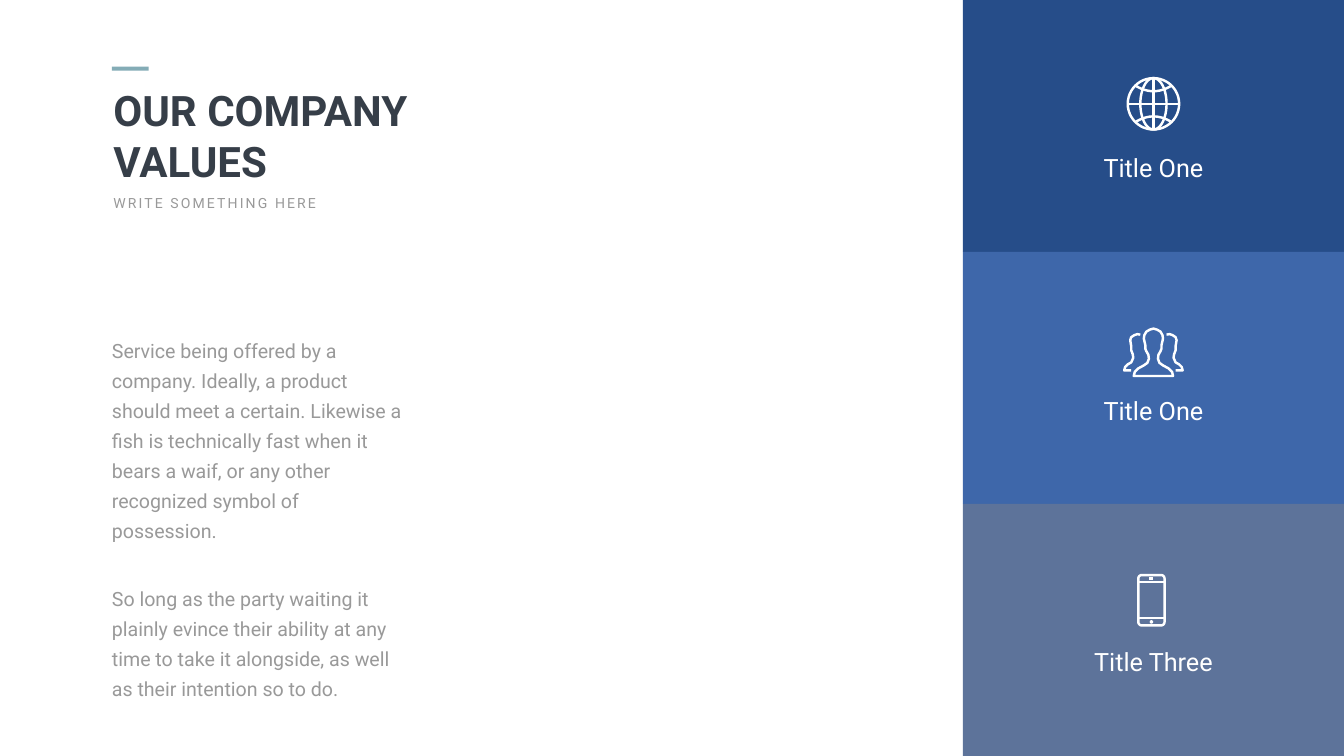
import math

import pptx
import pptx.dml.color
import pptx.enum.shapes
import pptx.enum.text
import pptx.util
from pptx.util import Inches

ALIGN = pptx.enum.text.PP_ALIGN
WHITE, GREY, DARK, TEAL = "FFFFFF", "999999", "363E48", "84ACB6"
LEFT, WIDE, TALL = 19.1, 7.56, 5
MID = LEFT + WIDE / 2
STROKE = 3.5
BODY = [
    "Service being offered by a company. Ideally, a product should meet a "
    "certain. Likewise a fish is technically fast when it bears a waif, or "
    "any other recognized symbol of possession.",
    "So long as the party waiting it plainly evince their ability at any "
    "time to take it alongside, as well as their intention so to do.",
]
# Left half of each figure: offsets from the icon's centre line and top
FRONT = [(0, 0.02), (-0.07, 0.04), (-0.14, 0.08), (-0.18, 0.15), (-0.19, 0.22),
         (-0.16, 0.35), (-0.16, 0.42), (-0.14, 0.47), (-0.1, 0.54),
         (-0.09, 0.62), (-0.12, 0.7), (-0.19, 0.75), (-0.3, 0.81),
         (-0.37, 0.88), (-0.39, 0.96)]
BACK = [(-0.26, 0.14), (-0.32, 0.13), (-0.38, 0.15), (-0.44, 0.19),
        (-0.46, 0.25), (-0.44, 0.37), (-0.44, 0.45), (-0.41, 0.53),
        (-0.4, 0.6), (-0.44, 0.69), (-0.51, 0.73), (-0.56, 0.78),
        (-0.58, 0.85), (-0.44, 0.85)]


def color(code):
    return pptx.dml.color.RGBColor.from_string(code)


def block(slide, x, y, w, h, fill):
    shape = slide.shapes.add_shape(
        pptx.enum.shapes.MSO_SHAPE.RECTANGLE,
        Inches(x), Inches(y), Inches(w), Inches(h))
    shape.shadow.inherit = False
    shape.fill.solid()
    shape.fill.fore_color.rgb = color(fill)
    shape.line.fill.background()


def trace(slide, x, y, *strokes):
    """Draw one white outline icon; each stroke is offsets from (x, y)."""
    pen = None
    for stroke in strokes:
        spots = [(Inches(x + dx), Inches(y + dy)) for dx, dy in stroke]
        if pen:
            pen.move_to(*spots[0])
        else:
            pen = slide.shapes.build_freeform(*spots[0])
        pen.add_line_segments(spots[1:], close=False)
    shape = pen.convert_to_shape()
    shape.shadow.inherit = False
    shape.fill.background()
    shape.line.color.rgb = color(WHITE)
    shape.line.width = pptx.util.Pt(STROKE)


def flip(points):
    return [(-dx, dy) for dx, dy in points]


def bend(x, y, rx, ry, start=0, turn=360):
    """Points on an ellipse around (x, y), angles in degrees."""
    angles = [math.radians(start + turn * i / 48) for i in range(49)]
    return [(x + rx * math.cos(a), y + ry * math.sin(a)) for a in angles]


def write(slide, x, y, w, h, *texts, size, tint, bold=False, align=ALIGN.LEFT,
          inset=(0.1, 0.05), wrap=True, lead=None, gap=0, track=0):
    box = slide.shapes.add_textbox(Inches(x), Inches(y), Inches(w), Inches(h))
    frame = box.text_frame
    frame.word_wrap = wrap
    frame.margin_left = frame.margin_right = Inches(inset[0])
    frame.margin_top = frame.margin_bottom = Inches(inset[1])
    for i, text in enumerate(texts):
        para = frame.add_paragraph() if i else frame.paragraphs[0]
        para.alignment = align
        if lead:
            para.line_spacing = pptx.util.Pt(lead)
        if i:
            para.space_before = pptx.util.Pt(gap)
        run = para.add_run()
        run.text = text
        run.font.name = "Roboto"
        run.font.size = pptx.util.Pt(size)
        run.font.bold = bold
        run.font.color.rgb = color(tint)
        if track:
            run._r.get_or_add_rPr().set("spc", str(track * 100))


def globe(slide, top):
    r = 0.51
    steps = [i / 8 for i in range(-8, 9)]
    arcs = [[(0.34 * t, side * (0.25 + 0.1 * t * t)) for t in steps]
            for side in (-1, 1)]
    trace(slide, MID, top + 0.53, bend(0, 0, r, r), bend(0, 0, 0.26, r),
          [(0, -r), (0, r)], [(-r, 0), (r, 0)], *arcs)


def people(slide, top):
    front = FRONT + flip(FRONT[::-1])
    trace(slide, MID, top, front, BACK, flip(BACK))


def phone(slide, top):
    half, head, foot, r = 0.26, 0.02, 1.02, 0.07
    x, y = half - r, foot - r
    case = (bend(x, y, r, r, 0, 90) + bend(-x, y, r, r, 90, 90)
            + bend(-x, head + r, r, r, 180, 90)
            + bend(x, head + r, r, r, 270, 90))
    bars = [[(-half, dy), (half, dy)] for dy in (0.16, 0.87)]
    trace(slide, MID - 0.04, top, case + case[:1], *bars,
          [(-0.04, 0.09), (0.04, 0.09)], bend(0, 0.95, 0.01, 0.01))


def main():
    deck = pptx.Presentation()
    deck.slide_width, deck.slide_height = Inches(26.66), Inches(15)
    slide = deck.slides.add_slide(deck.slide_layouts[6])

    panels = [
        ("264D89", globe, 1.53, "Title One", 2.97),
        ("3E67AA", people, 6.5, "Title One", 7.8),
        ("5D739A", phone, 11.39, "Title Three", 12.77),
    ]
    for i, panel in enumerate(panels):
        block(slide, LEFT, i * TALL, WIDE, TALL, panel[0])

    write(slide, 1.98, 6.47, 6.35, 7.01, *BODY, size=28, tint=GREY,
          inset=(0.24, 0.12), lead=43, gap=53.5)
    write(slide, 2.15, 1.63, 6.35, 2.12, "OUR COMPANY VALUES",
          size=60, tint=DARK, bold=True)
    write(slide, 2.15, 3.81, 4.35, 0.44, "WRITE SOMETHING HERE",
          size=20, tint=GREY, wrap=False, track=3)
    block(slide, 2.22, 1.32, 0.73, 0.08, TEAL)

    for _, icon, top, title, y in panels:
        write(slide, MID - 1.79, y, 3.58, 0.71, title,
              size=36, tint=WHITE, align=ALIGN.CENTER)
        icon(slide, top)

    deck.save("out.pptx")


if __name__ == "__main__":
    main()
